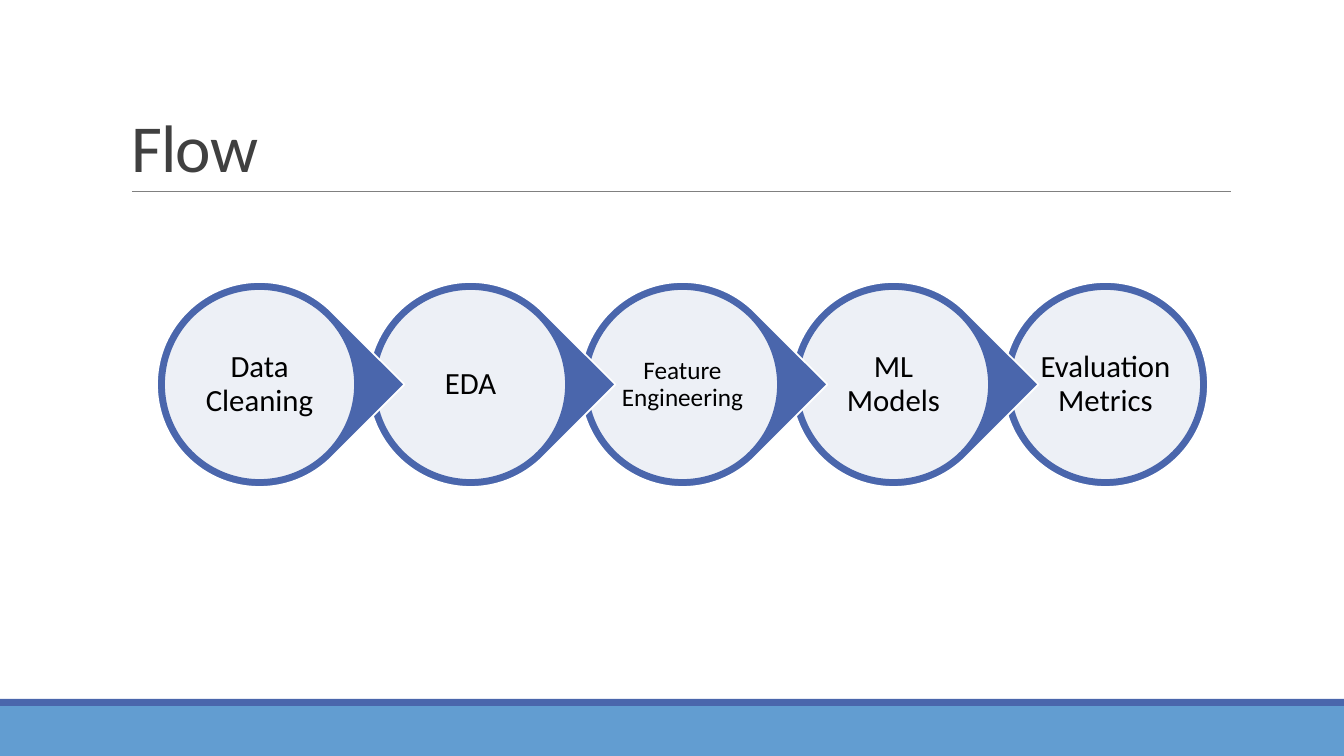
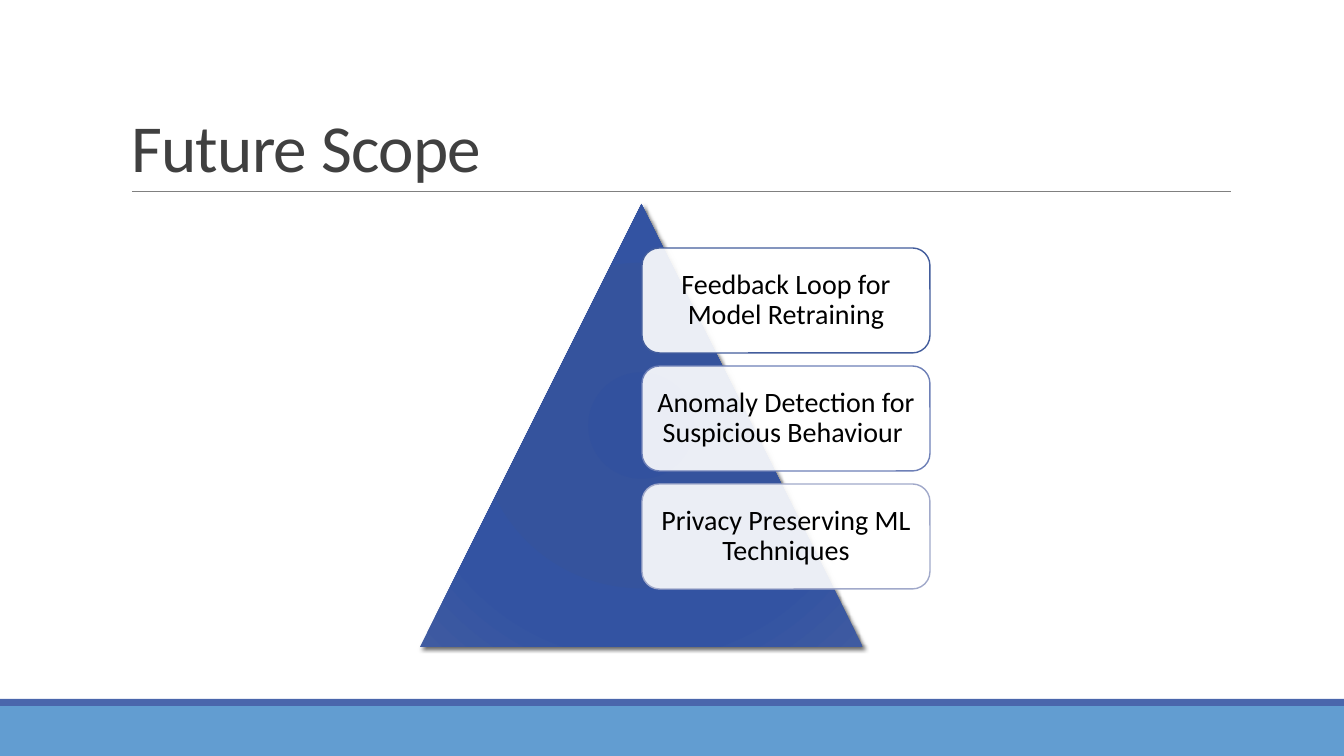
from dataclasses import dataclass

from lxml.etree import SubElement
from pptx import Presentation
from pptx.dml.color import RGBColor
from pptx.enum.shapes import MSO_CONNECTOR, MSO_SHAPE
from pptx.enum.text import MSO_ANCHOR, MSO_AUTO_SIZE, PP_ALIGN
from pptx.oxml import parse_xml
from pptx.oxml.ns import nsdecls, qn
from pptx.util import Pt

EMU_PER_PX = 914400 / 100.8
WIDTH, HEIGHT = 1344, 756


@dataclass(frozen=True)
class Theme:
    font: str = "Calibri"
    title: str = "404040"
    text: str = "000000"
    paper: str = "FFFFFF"
    rule: str = "808080"
    accent: str = "4A66AC"
    band: str = "629DD1"
    box_lines: tuple = ("435D9C", "6E80B7", "A1A9CA")
    gradient: tuple = ((0, "32519E"), (34, "35539D"), (70, "3353A2"), (100, "3F5BA1"))
    title_size: int = 48
    step_size: int = 22
    small_size: int = 18
    box_size: int = 20
    tint_opacity: int = 90


def px(n):
    return round(n * EMU_PER_PX)


def rgb(value):
    return RGBColor.from_string(value)


def write(tf, text, *, font, size, color, align=PP_ALIGN.CENTER,
          anchor=MSO_ANCHOR.MIDDLE, spacing=0.9, tracking=0, inset=None):
    tf.word_wrap = True
    tf.auto_size = MSO_AUTO_SIZE.NONE
    tf.vertical_anchor = anchor
    if inset is not None:
        tf.margin_left = tf.margin_right = px(inset)
        tf.margin_top = tf.margin_bottom = px(inset)
    p = tf.paragraphs[0]
    p.alignment = align
    p.line_spacing = spacing
    r = p.add_run()
    r.text = text
    r.font.name = font
    r.font.size = Pt(size)
    r.font.color.rgb = rgb(color)
    if tracking:
        r._r.get_or_add_rPr().set("spc", str(tracking))


class Deck:
    def __init__(self, theme):
        self.theme = theme
        self.prs = Presentation()
        self.prs.slide_width, self.prs.slide_height = px(WIDTH), px(HEIGHT)
        self.layout = self.prs.slide_layouts[5]
        self.s = None

    def add_slide(self, title):
        first = self.s is None
        self.s = self.prs.slides.add_slide(self.layout)
        if first:
            self.style_layout()
        write(self.s.shapes.title.text_frame, title, font=self.theme.font,
              size=self.theme.title_size, color=self.theme.title,
              align=PP_ALIGN.LEFT, anchor=MSO_ANCHOR.BOTTOM, spacing=0.85, tracking=-50)

    def style_layout(self):
        title = self.layout.placeholders[0]
        title.left, title.top, title.width, title.height = map(px, (121, 31, 1109, 160))
        shared = (
            self.shape(MSO_SHAPE.RECTANGLE, 0, 706, WIDTH, 50, self.theme.band),
            self.shape(MSO_SHAPE.RECTANGLE, 0, 699, WIDTH, 7, self.theme.accent),
            self.rule(132, 1231, 191),
        )
        for sp in shared:
            self.layout.shapes.element.append(sp.element)

    def rule(self, left, right, y):
        line = self.s.shapes.add_connector(
            MSO_CONNECTOR.STRAIGHT, px(left), px(y), px(right), px(y))
        line.line.color.rgb = rgb(self.theme.rule)
        line.line.width = Pt(0.5)
        SubElement(line.element.spPr, qn("a:effectLst"))
        return line

    def shape(self, kind, x, y, w, h, fill, *, line=None, weight=1.25, opacity=100):
        sp = self.s.shapes.add_shape(kind, px(x), px(y), px(w), px(h))
        sp.shadow.inherit = False
        sp.fill.solid()
        sp.fill.fore_color.rgb = rgb(fill)
        if opacity < 100:
            color = sp.element.spPr.find(qn("a:solidFill"))[0]
            SubElement(color, qn("a:alpha"), val=str(opacity * 1000))
        if line:
            sp.line.color.rgb = rgb(line)
            sp.line.width = Pt(weight)
        else:
            sp.line.fill.background()
        return sp

    def label(self, kind, x, y, w, h, text, size, *, line, weight, inset):
        sp = self.shape(kind, x, y, w, h, self.theme.paper, line=line,
                        weight=weight, opacity=self.theme.tint_opacity)
        write(sp.text_frame, text, font=self.theme.font, size=size,
              color=self.theme.text, inset=inset)

    def step(self, x, y, size, text, text_size, last):
        kind = MSO_SHAPE.OVAL if last else MSO_SHAPE.TEAR
        rim = self.shape(kind, x, y, size, size, self.theme.accent, line=self.theme.paper)
        rim.rotation = 0 if last else 45
        inner = size - 14
        self.label(MSO_SHAPE.OVAL, x + 7, y + 7, inner, inner, text, text_size,
                   line=self.theme.accent, weight=1.25, inset=0)

    def pyramid(self, x, y, size):
        sp = self.shape(MSO_SHAPE.ISOSCELES_TRIANGLE, x, y, size, size, self.theme.accent)
        spPr = sp.element.spPr
        stops = "".join(
            f'<a:gs pos="{pos * 1000}"><a:srgbClr val="{color}"/></a:gs>'
            for pos, color in self.theme.gradient)
        spPr.replace(spPr.find(qn("a:solidFill")), parse_xml(
            f'<a:gradFill {nsdecls("a")} rotWithShape="1"><a:gsLst>{stops}</a:gsLst>'
            '<a:path path="circle"><a:fillToRect l="100000" t="100000" '
            'r="100000" b="100000"/></a:path></a:gradFill>'))
        spPr.find(qn("a:effectLst")).append(parse_xml(
            f'<a:outerShdw {nsdecls("a")} blurRad="38100" dist="25400" dir="2700000" '
            f'rotWithShape="0"><a:srgbClr val="{self.theme.text}">'
            '<a:alpha val="60000"/></a:srgbClr></a:outerShdw>'))


def flow_slide(deck):
    deck.add_slide("Flow")
    steps = ("Data Cleaning", "EDA", "Feature Engineering", "ML Models", "Evaluation Metrics")
    left, right = 157, 1003
    last = len(steps) - 1
    for i in range(last, -1, -1):
        text = steps[i]
        small = max(map(len, text.split())) > 10
        size = deck.theme.small_size if small else deck.theme.step_size
        deck.step(left + (right - left) * i // last, 282, 205, text, size, i == last)


def scope_slide(deck):
    deck.add_slide("Future Scope")
    deck.pyramid(420, 204, 443)
    ideas = ("Feedback Loop for Model Retraining",
             "Anomaly Detection for Suspicious Behaviour ",
             "Privacy Preserving ML Techniques")
    for i, (idea, line) in enumerate(zip(ideas, deck.theme.box_lines)):
        deck.label(MSO_SHAPE.ROUNDED_RECTANGLE, 642, 248 + 118 * i, 288, 105, idea,
                   deck.theme.box_size, line=line, weight=1, inset=8)


def main():
    deck = Deck(Theme())
    flow_slide(deck)
    scope_slide(deck)
    deck.prs.save("out.pptx")


if __name__ == "__main__":
    main()
